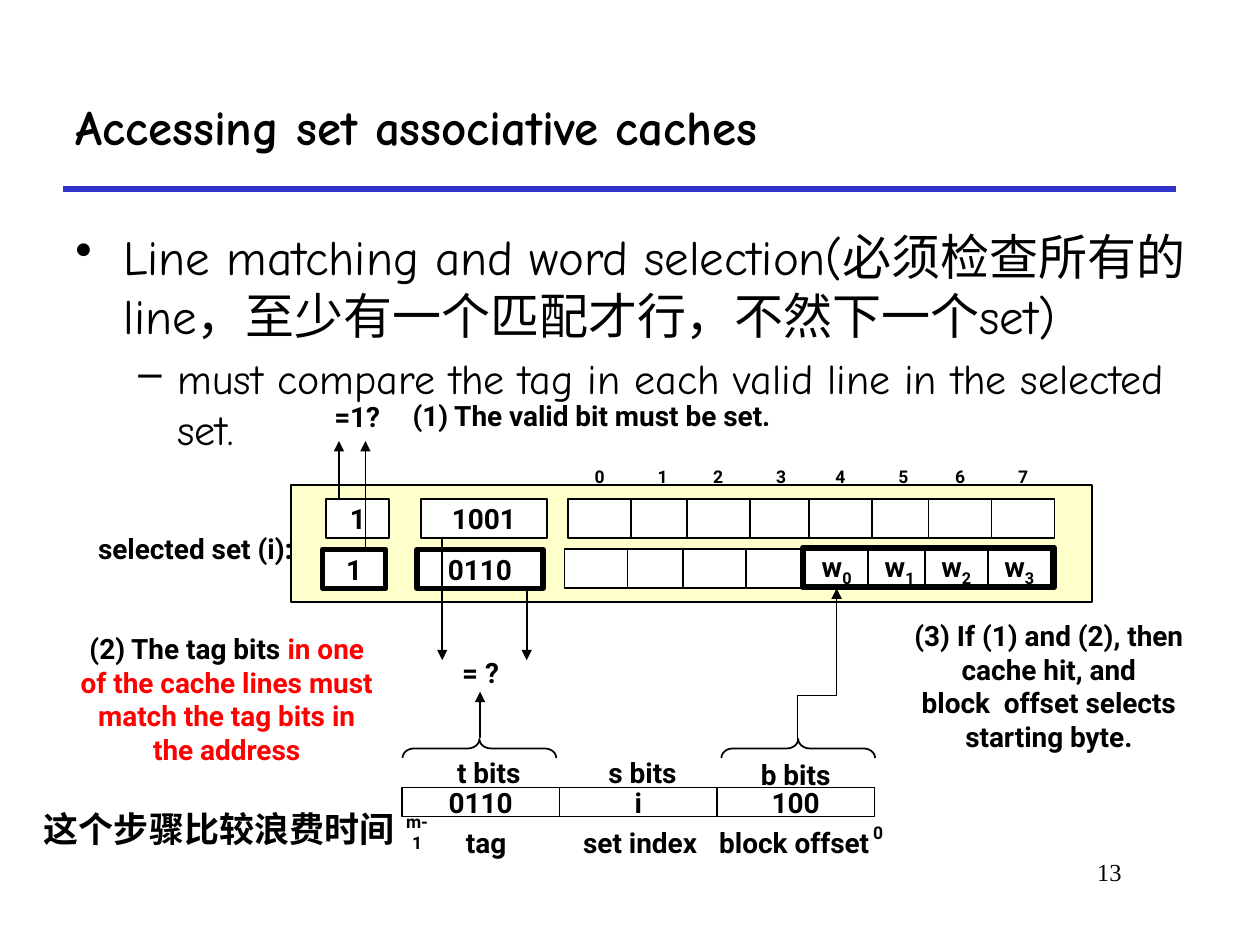
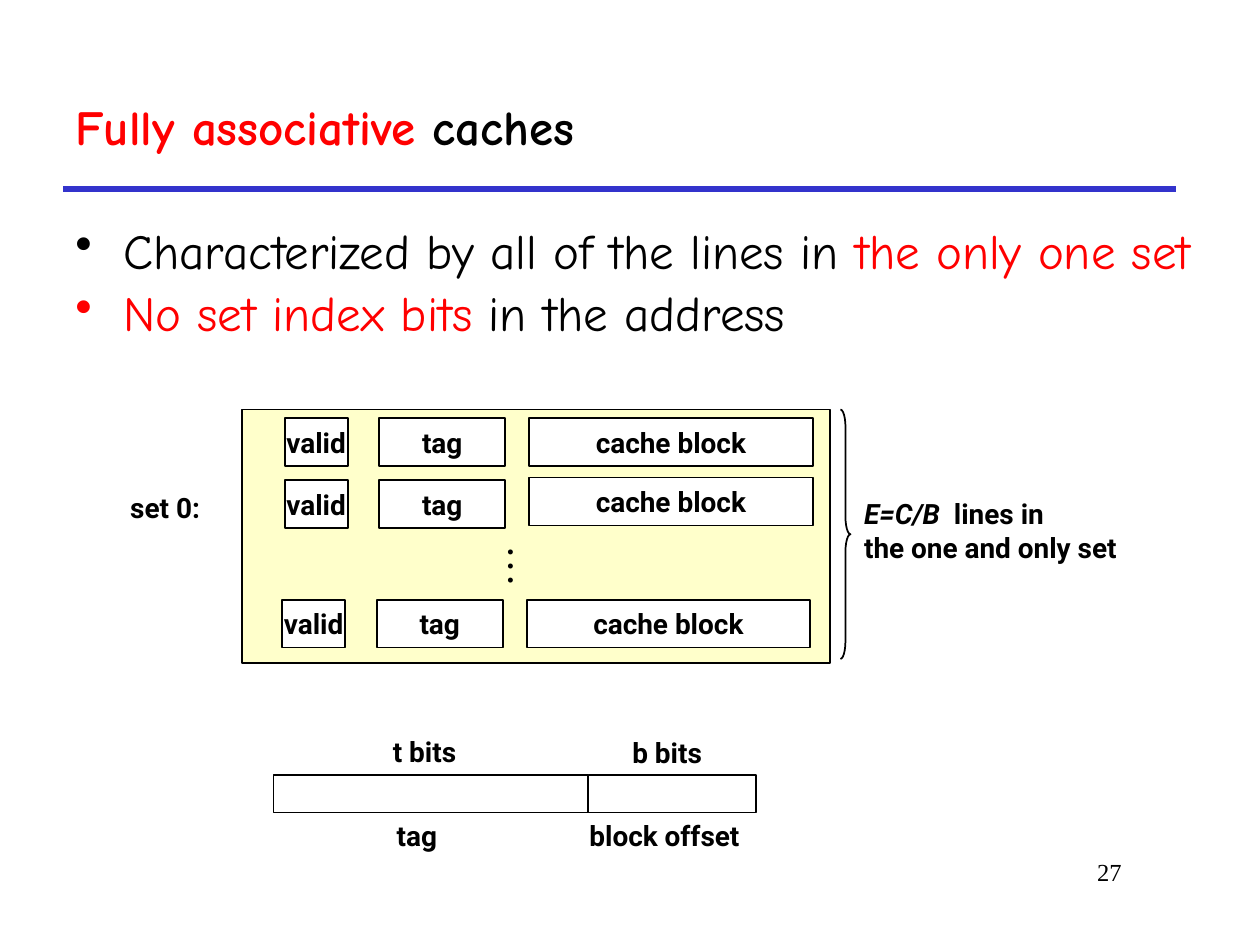
"""Build two slides on set associative and fully associative caches."""
from lxml import etree
from pptx import Presentation
from pptx.dml.color import RGBColor
from pptx.enum.shapes import MSO_CONNECTOR, MSO_SHAPE
from pptx.enum.text import MSO_ANCHOR, PP_ALIGN
from pptx.oxml.ns import qn
from pptx.util import Inches, Pt

BLACK = RGBColor(0, 0, 0)
WHITE = RGBColor(255, 255, 255)
RED = RGBColor(255, 0, 0)
RULE_BLUE = RGBColor(0x33, 0x33, 0xCC)
SET_YELLOW = RGBColor(0xFF, 0xFF, 0x99)

LEFT, CENTER, RIGHT = PP_ALIGN.LEFT, PP_ALIGN.CENTER, PP_ALIGN.RIGHT
TOP, MIDDLE = MSO_ANCHOR.TOP, MSO_ANCHOR.MIDDLE
RECTANGLE, BRACE = MSO_SHAPE.RECTANGLE, MSO_SHAPE.RIGHT_BRACE
STRAIGHT = MSO_CONNECTOR.STRAIGHT
BOTTOM_SIDE = 2

HEADING_FONT, LABEL_FONT, NUMBER_FONT = "Comic Neue", "Roboto", "Times New Roman"
BULLETS = {0: ("•", 0.38, -0.38, 28), 1: ("–", 0.81, -0.31, 24)}

SET_ASSOCIATIVE = {
    "title": ["Accessing set associative caches"],
    "number": "13",
    "line_spacing": 1.0,
    "bullets": [
        (0, ["Line matching and word selection(必须检查所有的line，至少有一个匹配才行，不然下一个set)"]),
        (1, ["must compare the tag in each valid line in the selected set."]),
    ],
}
FULLY_ASSOCIATIVE = {
    "title": [("Fully associative", {"color": RED}), " caches"],
    "number": "27",
    "line_spacing": 0.9,
    "bullets": [
        (0, ["Characterized by all of the lines in ", ("the only one set", {"color": RED})]),
        (0, [("No set index bits", {"color": RED}), " in the address"]),
    ],
}

BYTE_OFFSETS = (0, 0.5, 0.94, 1.44, 1.91, 2.41, 2.86, 3.36)
BYTE_WIDTH, LINE_HEIGHT = 0.5, 0.31
FIRST_MATCHED_BYTE = 4
CACHE_LINES = [
    {"left": 2.59, "top": 3.96, "tag": "1001", "border": 1, "words": 0},
    {"left": 2.56, "top": 4.36, "tag": "0110", "border": 3, "words": 4},
]
TAG_COLUMN, BLOCK_COLUMN = 0.75, 1.92

STEP_LABELS = [
    ((0.64, 4.17, 1.82, 0.37), [["selected set (i):"]]),
    ((2.54, 3.12, 0.59, 0.37), [["=1?"]]),
    ((3.55, 5.15, 0.53, 0.37), [["= ?"]]),
    ((3.1, 3.11, 3.19, 0.37), [["(1) The valid bit must be set."]]),
]
STEP_NOTES = [
    ((0, 4.96, 3.6, 1.17), [
        ["(2) The tag bits ", ("in one", {"color": RED})],
        [("of the cache lines must", {"color": RED})],
        [("match the tag bits in", {"color": RED})],
        [("the address", {"color": RED})],
    ]),
    ((6.74, 4.86, 3.17, 1.17), [
        ["(3) If (1) and (2), then"], ["cache hit, and"],
        ["block  offset selects"], ["starting byte."],
    ]),
]
ADDRESS_FIELDS = ["0110", "i", "100"]
ADDRESS_LABELS = [
    ("t bits", 3.53, 5.95, 0.73), ("s bits", 4.73, 5.95, 0.78), ("b bits", 5.94, 5.96, 0.79),
    ("tag", 3.6, 6.5, 0.53), ("set index", 4.53, 6.5, 1.16), ("block offset", 5.61, 6.5, 1.45),
]
ARROWS = [
    ((2.69, 3.95), (2.69, 3.5)), ((2.9, 4.35), (2.9, 3.5)),
    ((4.18, 4.65), (4.18, 5.24)), ((3.51, 4.26), (3.51, 5.24)),
    ((3.81, 5.86), (3.81, 5.49)),
]

ONLY_SET_COLUMNS = [("valid", 2.26, 0.5), ("tag", 3.01, 1), ("cache block", 4.2, 2.25)]
ONLY_SET_ROWS = [(3.32, 3.32, 0), (3.81, 3.79, 0), (4.76, 4.76, -0.02)]
SHORT_ADDRESS_FIELDS = [(2.17, 2.5), (4.67, 1.33)]
SHORT_ADDRESS_LABELS = [
    ("t bits", 3.02, 5.78, 0.73), ("b bits", 4.92, 5.79, 0.79),
    ("tag", 3.05, 6.45, 0.53), ("block offset", 4.58, 6.45, 1.45),
]


def inches(values):
    return [Inches(value) for value in values]


def add_bullet(paragraph, level):
    character, margin, indent, _ = BULLETS[level]
    properties = paragraph._p.get_or_add_pPr()
    properties.set("marL", str(Inches(margin)))
    properties.set("indent", str(Inches(indent)))
    etree.SubElement(properties, qn("a:buChar")).set("char", character)


def write(shape, paragraphs, size=16, font=LABEL_FONT, bold=True, align=CENTER,
          anchor=MIDDLE, wrap=False, levels=None, line_spacing=None):
    """Fill a shape with paragraphs, each a list of strings or (string, format) runs."""
    frame = shape.text_frame
    frame.word_wrap = wrap
    frame.vertical_anchor = anchor
    for index, runs in enumerate(paragraphs):
        paragraph = frame.add_paragraph() if index else frame.paragraphs[0]
        if levels:
            add_bullet(paragraph, levels[index])
            size = BULLETS[levels[index]][3]
            if index:
                paragraph.space_before = Pt(size * 0.2)
        paragraph.alignment = align
        if line_spacing:
            paragraph.line_spacing = line_spacing
        for item in runs:
            text, style = (item, {}) if isinstance(item, str) else item
            run = paragraph.add_run()
            run.text = text
            run.font.size = Pt(size)
            run.font.name = font
            run.font.bold = bold
            run.font.italic = style.get("italic", False)
            run.font.color.rgb = style.get("color", BLACK)
            if "baseline" in style:
                run.font._element.set("baseline", str(style["baseline"]))
    return shape


def add_label(slide, box, paragraphs, **text_format):
    return write(slide.shapes.add_textbox(*inches(box)), paragraphs, **text_format)


def add_box(slide, box, runs=None, kind=RECTANGLE, fill=None, border=1):
    shape = slide.shapes.add_shape(kind, *inches(box))
    shape.shadow.inherit = False
    if fill is None:
        shape.fill.background()
    else:
        shape.fill.solid()
        shape.fill.fore_color.rgb = fill
    shape.line.color.rgb = BLACK
    shape.line.width = Pt(border)
    if runs:
        write(shape, [runs])
    return shape


def add_set(slide, box):
    shape = add_box(slide, box, fill=SET_YELLOW)
    color = shape._element.spPr.find(qn("a:solidFill")).find(qn("a:srgbClr"))
    etree.SubElement(color, qn("a:alpha")).set("val", "50000")


def add_brace(slide, box, curve, rotation=0):
    brace = add_box(slide, box, kind=BRACE)
    brace.adjustments[0] = curve
    brace.adjustments[1] = 0.5
    brace.rotation = rotation


def add_line(slide, start, end, color=BLACK, width=1, arrow=False):
    line = slide.shapes.add_connector(STRAIGHT, *inches(start + end))
    line.line.color.rgb = color
    line.line.width = Pt(width)
    if arrow:
        etree.SubElement(line.line._get_or_add_ln(), qn("a:tailEnd")).set("type", "triangle")
    etree.SubElement(line._element.spPr, qn("a:effectLst"))
    return line


def add_address_labels(slide, labels):
    for text, left, top, width in labels:
        add_label(slide, (left, top, width, 0.36), [[text]], align=LEFT, anchor=TOP)


def add_page(presentation, content):
    slide = presentation.slides.add_slide(presentation.slide_layouts[6])
    add_line(slide, (0.5, 1.5), (9.33, 1.5), color=RULE_BLUE, width=3)
    add_label(slide, (7.58, 6.75, 1.42, 0.5), [[content["number"]]], size=14,
              font=NUMBER_FONT, bold=False, align=RIGHT, anchor=TOP, wrap=True)
    add_label(slide, (0.5, 0.5, 8.83, 1), [content["title"]], size=28,
              font=HEADING_FONT, align=LEFT, wrap=True)
    levels, paragraphs = zip(*content["bullets"])
    add_label(slide, (0.5, 1.75, 9.08, 1.5), paragraphs, font=HEADING_FONT, bold=False,
              align=LEFT, anchor=TOP, wrap=True, levels=levels,
              line_spacing=content["line_spacing"])
    return slide


def add_cache_line(slide, left, top, tag, border, words):
    """Draw the valid bit, tag and bytes of a line and return its byte boxes."""
    add_box(slide, (left, top, 0.5, LINE_HEIGHT), ["1"], fill=WHITE, border=border)
    add_box(slide, (left + TAG_COLUMN, top, 1, LINE_HEIGHT), [tag], fill=WHITE, border=border)
    byte_boxes = []
    for index, offset in enumerate(BYTE_OFFSETS):
        word = index - FIRST_MATCHED_BYTE
        runs = ["w", (str(word), {"baseline": -25000})] if 0 <= word < words else None
        byte_boxes.append(add_box(
            slide, (left + BLOCK_COLUMN + offset, top, BYTE_WIDTH, LINE_HEIGHT),
            runs, fill=WHITE))
    return byte_boxes


def build_set_associative(presentation):
    slide = add_page(presentation, SET_ASSOCIATIVE)
    add_set(slide, (2.31, 3.85, 6.36, 0.93))
    for cache_line in CACHE_LINES:
        byte_boxes = add_cache_line(slide, **cache_line)
    add_box(slide, (6.37, 4.35, 2, LINE_HEIGHT), border=3)
    for index, offset in enumerate(BYTE_OFFSETS):
        add_label(slide, (4.51 + offset, 3.63, BYTE_WIDTH, LINE_HEIGHT), [[str(index)]], size=10)

    for index, field in enumerate(ADDRESS_FIELDS):
        add_box(slide, (3.19 + 1.25 * index, 6.25, 1.25, 0.23), [field])
    add_address_labels(slide, ADDRESS_LABELS)
    add_label(slide, (6.83, 6.47, 0.28, 0.27), [["0"]], size=10)
    add_label(slide, (3.09, 6.47, 0.44, 0.27), [["m-1"]], size=10, wrap=True)
    for left in (3.73, 6.26):
        add_brace(slide, (left, 5.33, 0.15, 1.22), 0.61, rotation=270)

    for box, paragraphs in STEP_LABELS:
        add_label(slide, box, paragraphs)
    for box, paragraphs in STEP_NOTES:
        add_label(slide, box, paragraphs, wrap=True)
    for start, end in ARROWS:
        add_line(slide, start, end, arrow=True)
    add_line(slide, (6.33, 5.89), (6.33, 5.52))
    add_line(slide, (6.33, 5.52), (6.64, 5.52))
    selector = add_line(slide, (6.64, 5.52), (6.64, 4.67), arrow=True)
    selector.end_connect(byte_boxes[FIRST_MATCHED_BYTE], BOTTOM_SIDE)
    add_label(slide, (0.25, 6.36, 2.99, 0.44), [["这个步骤比较浪费时间"]], size=20,
              font=HEADING_FONT, align=LEFT, anchor=TOP)


def build_fully_associative(presentation):
    slide = add_page(presentation, FULLY_ASSOCIATIVE)
    add_label(slide, (0.92, 3.84, 0.78, 0.37), [["set 0:"]])
    add_set(slide, (1.92, 3.25, 4.67, 2.01))
    for top, block_top, shift in ONLY_SET_ROWS:
        for text, left, width in ONLY_SET_COLUMNS:
            cell_top = block_top if text == "cache block" else top
            add_box(slide, (left + shift, cell_top, width, 0.38), [text], fill=WHITE)
    dots = add_label(slide, (3.82, 4.23, 0.6, 0.43), [["…"]], size=24, font=NUMBER_FONT,
                     bold=False, align=LEFT, anchor=TOP)
    dots.text_frame._txBody.bodyPr.set("vert", "eaVert")
    add_brace(slide, (6.67, 3.25, 0.08, 1.98), 1.75)
    add_label(slide, (6.76, 3.89, 2.35, 0.64),
              [[("E=C/B", {"italic": True}), "  lines in"], ["the one and only set"]],
              align=LEFT)
    for left, width in SHORT_ADDRESS_FIELDS:
        add_box(slide, (left, 6.15, width, 0.3))
    add_address_labels(slide, SHORT_ADDRESS_LABELS)


def main():
    presentation = Presentation()
    presentation.slide_width, presentation.slide_height = inches((10, 7.5))
    build_set_associative(presentation)
    build_fully_associative(presentation)
    presentation.save("out.pptx")


if __name__ == "__main__":
    main()
